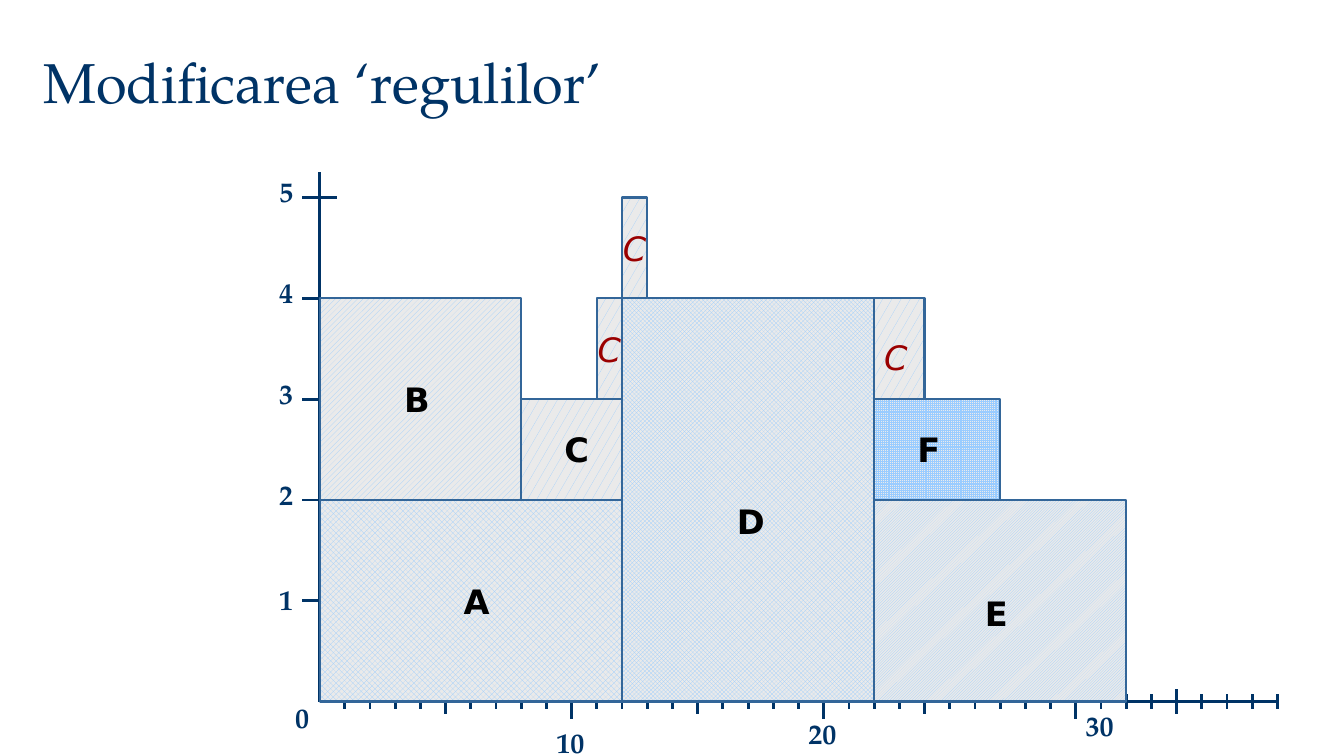
from collections import namedtuple
from dataclasses import dataclass

from lxml import etree
from pptx import Presentation
from pptx import util as u
from pptx.dml.color import RGBColor
from pptx.enum import dml, shapes, text
from pptx.oxml import ns


@dataclass(frozen=True)
class Theme:
    navy: str = "003366"
    edge: str = "336699"
    hatch: str = "99CCFF"
    paper: str = "EAEAEA"
    black: str = "000000"
    red: str = "9A0000"
    serif: str = "TeX Gyre Pagella"
    sans: str = "DejaVu Sans"
    title_size: int = 40
    block_size: int = 24
    axis_size: int = 20


T = Theme()
P = dml.MSO_PATTERN
Box = namedtuple("Box", "left top width height")
Block = namedtuple("Block", "name x y w h pattern dx dy changed", defaults=[False])

X_MAX, Y_MAX = 38, 5
# x, y, w, h are in chart units; dx, dy place the label from the block's corner.
BLOCKS = [
    Block("A", 0, 0, 12, 2, P.OUTLINED_DIAMOND, 1.33, 0.75),
    Block("F", 22, 2, 5, 1, P.SMALL_GRID, 0.33, 0.25),
    Block("B", 0, 2, 8, 2, P.WIDE_UPWARD_DIAGONAL, 0.74, 0.75),
    Block("C", 8, 2, 5, 1, P.SMALL_CONFETTI, 0.33, 0.25),
    Block("E", 22, 0, 10, 2, P.DARK_UPWARD_DIAGONAL, 1, 0.87),
    Block("D", 12, 0, 10, 4, P.TRELLIS, 1.04, 1.96),
    Block("C", 12, 4, 1, 1, P.SMALL_CONFETTI, -0.09, 0.25, True),
    Block("C", 11, 3, 1, 1, P.SMALL_CONFETTI, -0.09, 0.25, True),
    Block("C", 22, 3, 2, 1, P.SMALL_CONFETTI, 0, 0.33, True),
]
# Half lengths of the longer ticks on the horizontal axis.
LONG_TICKS = {5: 0.12, 15: 0.12, 24: 0.12, 34: 0.12, 10: 0.17, 20: 0.17, 30: 0.17}
# Label text with its offset from the box's lower left corner.
X_LABELS = [("0", -0.34, 0), ("10", 2.25, 0.25), ("20", 4.75, 0.16), ("30", 7.5, 0.08)]


def rgb(value):
    return RGBColor.from_string(value)


def write(tf, words, size, font, color, bold=False, italic=False, spacing=1.0,
          anchor=text.MSO_ANCHOR.TOP):
    tf.word_wrap = True
    tf.auto_size = text.MSO_AUTO_SIZE.NONE
    tf.vertical_anchor = anchor
    p = tf.paragraphs[0]
    p.alignment = text.PP_ALIGN.LEFT
    p.line_spacing = spacing
    r = p.add_run()
    r.text = words
    r.font.size, r.font.name = u.Pt(size), font
    r.font.bold, r.font.italic = bold, italic
    r.font.color.rgb = rgb(color)


def add_label(parent, words, left, top, width, height, **style):
    sp = parent.add_textbox(*map(u.Inches, (left, top, width, height)))
    write(sp.text_frame, words, **style)


def add_line(s, x1, y1, x2, y2):
    line = s.shapes.add_connector(shapes.MSO_CONNECTOR.STRAIGHT,
                                  *map(u.Inches, (x1, y1, x2, y2)))
    line.line.color.rgb = rgb(T.navy)
    line.line.width = u.Pt(2)
    etree.SubElement(line._element.spPr, ns.qn("a:effectLst"))


def add_title(s, words, box):
    sp = s.shapes.title
    sp.left, sp.top, sp.width, sp.height = map(u.Inches, box)
    write(sp.text_frame, words, T.title_size, T.serif, T.navy,
          anchor=text.MSO_ANCHOR.BOTTOM)


def add_axes(s, box):
    base = box.top + box.height
    step_x, step_y = box.width / X_MAX, box.height / Y_MAX
    style = dict(size=T.axis_size, font=T.serif, color=T.navy, bold=True, spacing=0.8)

    add_line(s, box.left, base, box.left + box.width, base)
    for n in range(1, X_MAX + 1):
        x, half = box.left + n * step_x, LONG_TICKS.get(n, 0.07)
        add_line(s, x, base + half, x, base - half)
    for words, dx, dy in X_LABELS:
        add_label(s.shapes, words, box.left + dx, base + dy, 0.5, 0.42, **style)

    add_line(s, box.left, base, box.left, box.top - 0.25)
    for n in range(1, Y_MAX + 1):
        y = base - n * step_y
        add_line(s, box.left - 0.17, y, box.left + 0.17, y)
        add_label(s.shapes, str(n), box.left - 0.5, y - (0.17 if n == 1 else 0.21),
                  0.33, 0.42, **style)


def add_block(s, block, box):
    step_x, step_y = box.width / X_MAX, box.height / Y_MAX
    left = box.left + block.x * step_x
    top = box.top + box.height - (block.y + block.h) * step_y
    group = s.shapes.add_group_shape().shapes
    sp = group.add_shape(shapes.MSO_SHAPE.RECTANGLE, *map(
        u.Inches, (left, top, block.w * step_x, block.h * step_y)))
    sp.shadow.inherit = False
    sp.fill.patterned()
    sp.fill.pattern = block.pattern
    sp.fill.fore_color.rgb = rgb(T.hatch)
    sp.fill.back_color.rgb = rgb(T.paper)
    sp.line.color.rgb = rgb(T.edge)
    sp.line.width = u.Pt(1.5)
    add_label(group, block.name, left + block.dx, top + block.dy,
              0.33 if block.changed else 0.58, 0.5, size=T.block_size, font=T.sans,
              color=T.red if block.changed else T.black,
              bold=not block.changed, italic=block.changed)


def main():
    prs = Presentation()
    prs.slide_width, prs.slide_height = u.Inches(13.33), u.Inches(7.5)
    s = prs.slides.add_slide(prs.slide_layouts[5])
    add_title(s, "Modificarea ‘regulilor’", Box(0.33, 0.42, 12.33, 0.77))
    chart = Box(3.17, 1.96, 9.5, 5)
    add_axes(s, chart)
    for block in BLOCKS:
        add_block(s, block, chart)
    prs.save("out.pptx")


if __name__ == "__main__":
    main()
